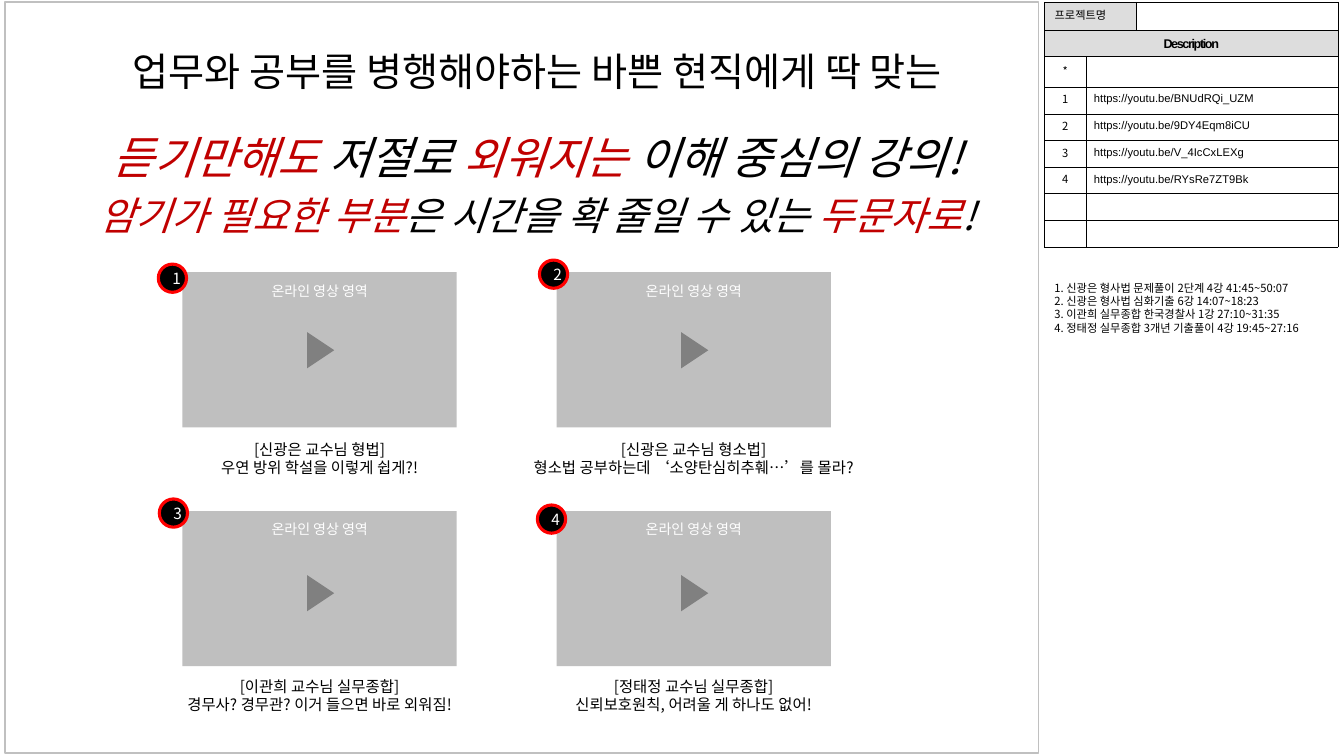
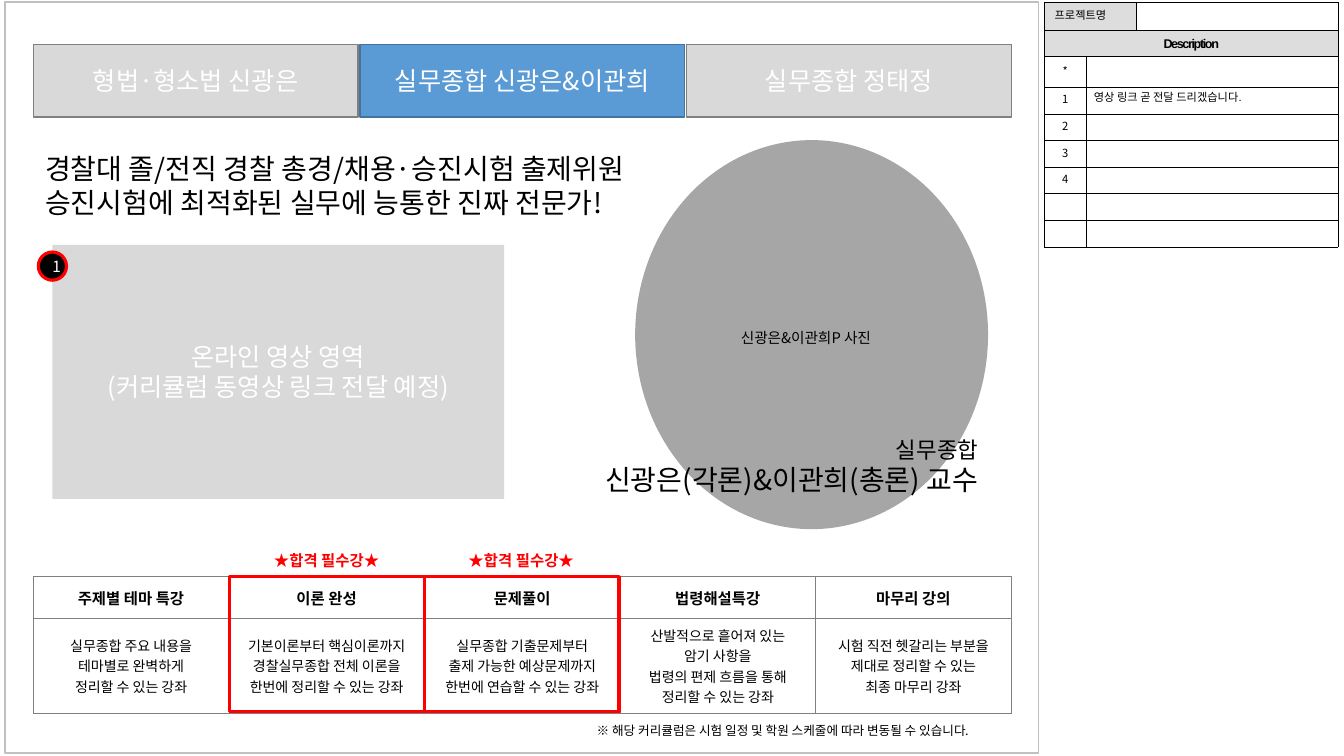
import itertools
from dataclasses import dataclass

import lxml.etree
import pptx
import pptx.dml.color
import pptx.enum.shapes
import pptx.enum.text
import pptx.oxml.ns
import pptx.util


@dataclass(frozen=True)
class Theme:
    font: str = "Noto Sans CJK KR"
    latin: str = "Arial"
    black: str = "000000"
    white: str = "FFFFFF"
    frame: str = "C0C0C0"
    header: str = "DDDDDD"
    video: str = "BFBFBF"
    panel: str = "D9D9D9"
    photo: str = "A6A6A6"
    gray: str = "808080"
    blue: str = "5B9BD5"
    blue_edge: str = "43739E"
    accent: str = "C00000"
    red: str = "FF0000"
    memo: tuple = (8,)
    notice: tuple = (9,)
    small: tuple = (10,)
    photo_label: tuple = (10.5,)
    label: tuple = (11,)
    tab: tuple = (18,)
    lead: tuple = (20,)
    professor: tuple = (16, 20)
    title: tuple = (28, 32, 28)
    spacing: float = 1.19
    table_spacing: float = 1.46


theme = Theme()
SCALE = 9144
RGB = pptx.dml.color.RGBColor.from_string
qn = pptx.oxml.ns.qn
SHAPE = pptx.enum.shapes.MSO_SHAPE
ALIGN = pptx.enum.text.PP_ALIGN
ANCHOR = pptx.enum.text.MSO_ANCHOR


def write(frame, lines, sizes, color=theme.black, align=ALIGN.LEFT, bold=False,
          font=theme.font, spacing=theme.spacing):
    for index, (line, size) in enumerate(zip(lines, itertools.cycle(sizes))):
        paragraph = frame.add_paragraph() if index else frame.paragraphs[0]
        paragraph.alignment = align
        paragraph.line_spacing = pptx.util.Pt(size * spacing)
        if not line:
            ending = lxml.etree.SubElement(paragraph._p, qn("a:endParaRPr"))
            ending.set("sz", str(size * 100))
            continue
        first, *rest = line.split("|")
        paragraph.text = first
        for segment in rest:
            paragraph.add_run().text = segment
        for run in paragraph.runs:
            run.font.name = font
            run.font.size = pptx.util.Pt(size)
            run.font.bold = bold
            run.font.color.rgb = RGB(color)
            east_asian = lxml.etree.SubElement(run.font._element, qn("a:ea"))
            east_asian.set("typeface", theme.font)


def add_shape(slide, box, kind=None, fill=None, line=None, width=1,
              anchor=ANCHOR.MIDDLE, lines=(), sizes=theme.label, **style):
    place = [value * SCALE for value in box]
    if kind is None:
        shape = slide.shapes.add_textbox(*place)
    else:
        shape = slide.shapes.add_shape(kind, *place)
        shape.shadow.inherit = False
        shape.fill.background()
        shape.line.fill.background()
        shape.text_frame.vertical_anchor = anchor
    if fill:
        shape.fill.solid()
        shape.fill.fore_color.rgb = RGB(fill)
    if line:
        shape.line.color.rgb = RGB(line)
        shape.line.width = pptx.util.Pt(width)
    shape.text_frame.word_wrap = True
    write(shape.text_frame, lines, sizes, **style)
    return shape


presentation = pptx.Presentation()
presentation.slide_width = 1333 * SCALE
presentation.slide_height = 750 * SCALE
layout = presentation.slide_layouts[6]
lectures = presentation.slides.add_slide(layout)
professors = presentation.slides.add_slide(layout)

frame = add_shape(lectures, (5, 2, 1025, 745), SHAPE.RECTANGLE, line=theme.frame)
layout.shapes.element.append(frame.element)

memos = [
    (lectures, ["https://youtu.be/BNUdRQi_UZM", "https://youtu.be/9DY4Eqm8iCU",
                "https://youtu.be/V_4IcCxLEXg", "https://youtu.be/RYsRe7ZT9Bk"]),
    (professors, ["영상 링크 곧 전달 드리겠습니다."]),
]
memo_columns = [41, 50, 200]
memo_rows = [28, 26, 30] + [27, 26] * 3
bordered_tables = []

for slide, notes in memos:
    table = slide.shapes.add_table(
        len(memo_rows), len(memo_columns), 1036 * SCALE, 2 * SCALE,
        sum(memo_columns) * SCALE, sum(memo_rows) * SCALE).table
    bordered_tables.append((table, theme.black, 0.25, memo_columns, memo_rows))
    texts = {(0, 0): "프로젝트명", (1, 0): "Description", (2, 0): "*"}
    for number in range(1, 5):
        texts[number + 2, 0] = str(number)
    for index, note in enumerate(notes):
        texts[index + 3, 1] = note
    for row, column in itertools.product(range(len(memo_rows)), range(len(memo_columns))):
        cell = table.cell(row, column)
        shaded = row == 1 or (row == 0 and column < 2)
        cell.fill.solid()
        cell.fill.fore_color.rgb = RGB(theme.header if shaded else theme.white)
        if row > 1:
            cell.margin_left = cell.margin_right = (8 if column else 4) * SCALE
        if column == 0:
            cell.vertical_anchor = ANCHOR.MIDDLE
        write(cell.text_frame, [texts.get((row, column), "")],
              theme.notice if row == 1 else theme.memo,
              align=ALIGN.CENTER if row and not column else ALIGN.LEFT,
              bold=row == 1, font=theme.latin if row == 1 or column else theme.font)
    heading = table.cell(1, 0).text_frame.paragraphs[0].runs[0]
    heading.font._element.set("spc", "-100")
    table.cell(0, 0).merge(table.cell(0, 1))
    table.cell(1, 0).merge(table.cell(1, 2))
    for row in range(2, len(memo_rows)):
        table.cell(row, 1).merge(table.cell(row, 2))

courses = [
    ("주제별 테마 특강", ["실무종합 주요 내용을", "테마별로 완벽하게", "정리할 수 있는 강좌"]),
    ("이론 완성", ["기본이론부터 핵심이론까지", "경찰실무종합 전체 이론을",
               "한번에 정리할 수 있는 강좌"]),
    ("문제풀이", ["실무종합 기출문제부터", "출제 가능한 예상문제까지",
              "한번에 연습할 수 있는 강좌"]),
    ("법령해설특강", ["산발적으로 흩어져 있는", "암기 사항을", "법령의 편제 흐름을 통해",
                "정리할 수 있는 강좌"]),
    ("마무리 강의", ["시험 직전 헷갈리는 부분을", "제대로 정리할 수 있는", "최종 마무리 강좌"]),
]
course_columns = [194] * len(courses)
course_rows = [41, 95]
table = professors.shapes.add_table(
    len(course_rows), len(courses), 33 * SCALE, 572 * SCALE,
    sum(course_columns) * SCALE, sum(course_rows) * SCALE).table
bordered_tables.append((table, theme.gray, 0.5, course_columns, course_rows))
for column, (name, summary) in enumerate(courses):
    for row, lines in enumerate([[name], summary]):
        cell = table.cell(row, column)
        cell.fill.background()
        cell.vertical_anchor = ANCHOR.MIDDLE
        cell.margin_left = cell.margin_right = cell.margin_top = cell.margin_bottom = 0
        write(cell.text_frame, lines, theme.small if row else theme.label,
              align=ALIGN.CENTER, bold=row == 0, spacing=theme.table_spacing)

for table, color, width, columns, rows in bordered_tables:
    table.first_row = table.horz_banding = False
    for column, size in zip(table.columns, columns):
        column.width = size * SCALE
    for row, size in zip(table.rows, rows):
        row.height = size * SCALE
    for cell in table.iter_cells():
        properties = cell._tc.get_or_add_tcPr()
        for index, side in enumerate(["lnL", "lnR", "lnT", "lnB"]):
            border = lxml.etree.Element(qn("a:" + side), w=str(pptx.util.Pt(width)))
            solid = lxml.etree.SubElement(border, qn("a:solidFill"))
            lxml.etree.SubElement(solid, qn("a:srgbClr"), val=color)
            properties.insert(index, border)

title = add_shape(
    lectures, (29, 42, 1008, 207), sizes=theme.title, align=ALIGN.CENTER,
    lines=["업무와 공부를 병행해야하는 바쁜 현직에게 딱 맞는",
           "듣기만해도| 저절로 |외워지는| 이해 중심의 강의!",
           "암기가 필요한 부분|은 시간을 확 줄일 수 있는 |두문자로|!"])
for paragraph, gap in zip(title.text_frame.paragraphs[1:], [26, 6]):
    paragraph.space_before = pptx.util.Pt(gap)
    for index, run in enumerate(paragraph.runs):
        run.font.italic = True
        run.font.color.rgb = RGB(theme.black if index % 2 else theme.accent)

videos = [
    ["[신광은 교수님 형법]", "우연 방위 학설을 이렇게 쉽게?!"],
    ["[신광은 교수님 형소법]", "형소법 공부하는데 ‘소양탄심히추훼…’를 몰라?"],
    ["[이관희 교수님 실무종합]", "경무사? 경무관? 이거 들으면 바로 외워짐!"],
    ["[정태정 교수님 실무종합]", "신뢰보호원칙, 어려울 게 하나도 없어!"],
]
for index, caption in enumerate(videos):
    row, column = divmod(index, 2)
    left = 181 + 371 * column
    video = add_shape(lectures, (left, 270 + 237 * row, 272, 154), SHAPE.RECTANGLE,
                      theme.video, anchor=ANCHOR.TOP, lines=["온라인 영상 영역"],
                      sizes=theme.small, color=theme.white, align=ALIGN.CENTER)
    video.text_frame.margin_top = 10 * SCALE
    play = add_shape(lectures, (left + 119, 334 + 241 * row, 36, 27),
                     SHAPE.ISOSCELES_TRIANGLE, theme.gray)
    play.rotation = 90
    add_shape(lectures, (left - 41, 432 + 235 * row, 354, 47), lines=caption,
              align=ALIGN.CENTER)

add_shape(lectures, (1036, 274, 291, 64), sizes=theme.memo,
          lines=["1. 신광은 형사법 문제풀이 2단계 4강 41:45~50:07",
                 "2. 신광은 형사법 심화기출 6강 14:07~18:23",
                 "3. 이관희 실무종합 한국경찰사 1강 27:10~31:35",
                 "4. 정태정 실무종합 3개년 기출풀이 4강 19:45~27:16"])

tabs = [
    ("형법·형소법 신광은", theme.panel, theme.gray),
    ("실무종합 신광은&이관희", theme.blue, theme.blue_edge),
    ("실무종합 정태정", theme.panel, theme.gray),
]
for index, (name, fill, edge) in enumerate(tabs):
    add_shape(professors, (33 + 324 * index, 44, 322, 72), SHAPE.RECTANGLE, fill, edge,
              lines=[name], sizes=theme.tab, color=theme.white, align=ALIGN.CENTER)

add_shape(professors, (630, 139, 350, 386), SHAPE.OVAL, theme.photo)
photo_label = add_shape(professors, (725, 321, 164, 28), lines=["신광은&이관희P 사진"],
                        sizes=theme.photo_label)
photo_label.text_frame.word_wrap = False
add_shape(professors, (35, 146, 942, 77), sizes=theme.lead,
          lines=["경찰대 졸/전직 경찰 총경/채용·승진시험 출제위원",
                 "승진시험에 최적화된 실무에 능통한 진짜 전문가!"])
add_shape(professors, (559, 428, 421, 71), sizes=theme.professor, align=ALIGN.RIGHT,
          lines=["실무종합", "신광은(각론)&이관희(총론) 교수"])
add_shape(professors, (52, 243, 448, 252), SHAPE.RECTANGLE, theme.panel,
          lines=["온라인 영상 영역", "(커리큘럼 동영상 링크 전달 예정)"],
          sizes=theme.tab, color=theme.white, align=ALIGN.CENTER)
add_shape(professors, (582, 712, 433, 25), sizes=theme.notice,
          lines=["※ 해당 커리큘럼은 시험 일정 및 학원 스케줄에 따라 변동될 수 있습니다."])

badges = [
    (lectures, "1", 157, 262), (lectures, "2", 535, 258),
    (lectures, "3", 158, 495), (lectures, "4", 533, 501),
    (professors, "1", 38, 250),
]
for slide, number, left, top in badges:
    add_shape(slide, (left, top, 28, 28), SHAPE.OVAL, theme.black, theme.red, 2.25,
              lines=[number], color=theme.white, align=ALIGN.CENTER)

for left in (228, 421):
    add_shape(professors, (left, 572, 193, 134), SHAPE.RECTANGLE, line=theme.red, width=2.25)
    add_shape(professors, (left + 22, 542, 148, 29), lines=["★합격 필수강★"],
              color=theme.red, align=ALIGN.CENTER, bold=True)

presentation.save("out.pptx")
